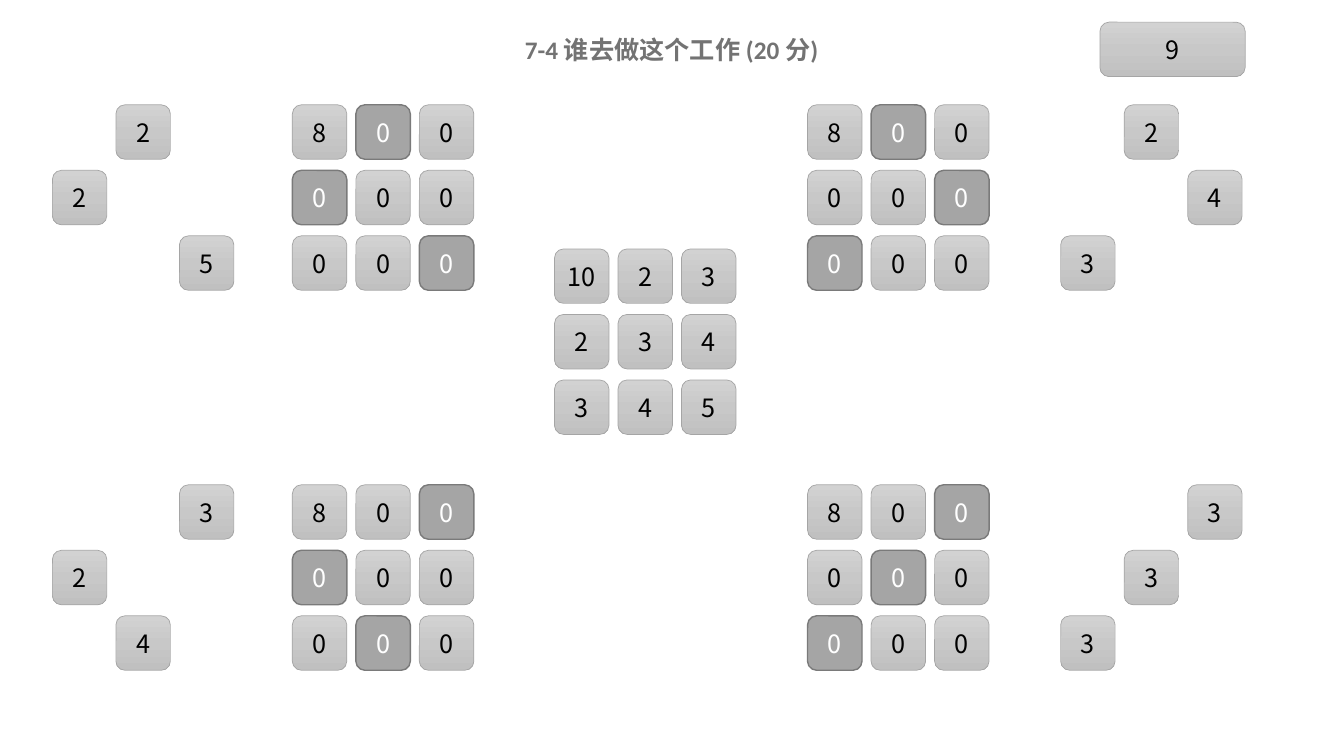
import copy

import pptx
import pptx.dml.color
import pptx.enum.shapes
import pptx.enum.text
import pptx.oxml.ns
import pptx.util

PX = 9144
TILE, STEP_X, STEP_Y = 54, 63, 65
BLACK = pptx.dml.color.RGBColor(0x00, 0x00, 0x00)
WHITE = pptx.dml.color.RGBColor(0xFF, 0xFF, 0xFF)
TITLE_GRAY = pptx.dml.color.RGBColor(0x73, 0x73, 0x73)
MID_GRAY = pptx.dml.color.RGBColor(0xA5, 0xA5, 0xA5)
EDGE_GRAY = pptx.dml.color.RGBColor(0x7A, 0x7A, 0x7A)
GRADIENT = (
    (0, pptx.dml.color.RGBColor(0xD2, 0xD2, 0xD2)),
    (0.5, pptx.dml.color.RGBColor(0xC8, 0xC8, 0xC8)),
    (1, pptx.dml.color.RGBColor(0xC0, 0xC0, 0xC0)),
)
CJK_FONT = "Noto Sans CJK SC"
COSTS = ((10, 2, 3), (2, 3, 4), (3, 4, 5))
REDUCED = ((8, 0, 0), (0, 0, 0), (0, 0, 0))
ASSIGNMENTS = (
    (290, 52, 104, (1, 0, 2)),
    (801, 1052, 104, (1, 2, 0)),
    (290, 52, 481, (2, 0, 1)),
    (801, 1052, 481, (2, 1, 0)),
)


def write_text(box, text, font=CJK_FONT, size=18, color=BLACK, bold=False):
    """Put one centred, formatted line of text in the middle of a box."""
    frame = box.text_frame
    frame.vertical_anchor = pptx.enum.text.MSO_ANCHOR.MIDDLE
    frame.word_wrap = True
    para = frame.paragraphs[0]
    para.alignment = pptx.enum.text.PP_ALIGN.CENTER
    span = para.add_run()
    span.text = text
    span.font.name = font
    span.font.size = pptx.util.Pt(size)
    span.font.color.rgb = color
    span.font.bold = bold
    east_asian = span.font._element.makeelement(
        pptx.oxml.ns.qn("a:ea"), {"typeface": CJK_FONT})
    span.font._element.append(east_asian)


def fill_gradient(box):
    """Give a box the three-stop gray gradient, light at the top."""
    box.fill.gradient()
    box.fill.gradient_angle = 270
    stop_list = box._element.spPr.find(".//" + pptx.oxml.ns.qn("a:gsLst"))
    stop_list.append(copy.deepcopy(stop_list[-1]))
    for stop, (position, color) in zip(box.fill.gradient_stops, GRADIENT):
        stop.position = position
        stop.color.rgb = color


def add_tile(page, left, top, value, width=TILE, chosen=False):
    """Add a rounded number tile, darker when it is chosen."""
    box = page.shapes.add_shape(
        pptx.enum.shapes.MSO_SHAPE.ROUNDED_RECTANGLE,
        left * PX, top * PX, width * PX, TILE * PX)
    box.shadow.inherit = False
    if chosen:
        box.fill.solid()
        box.fill.fore_color.rgb = MID_GRAY
    else:
        fill_gradient(box)
    box.line.color.rgb = EDGE_GRAY if chosen else MID_GRAY
    box.line.width = pptx.util.Pt(1 if chosen else 0.5)
    write_text(box, str(value), color=WHITE if chosen else BLACK)


def add_matrix(page, left, top, values, chosen_columns=(None, None, None)):
    """Add a full grid of tiles, marking one chosen column per row."""
    for row, (numbers, chosen) in enumerate(zip(values, chosen_columns)):
        for column, value in enumerate(numbers):
            add_tile(page, left + column * STEP_X, top + row * STEP_Y, value,
                     chosen=column == chosen)


def add_picks(page, left, top, columns):
    """Add only the cost tiles that an assignment picks."""
    for row, column in enumerate(columns):
        add_tile(page, left + column * STEP_X, top + row * STEP_Y,
                 COSTS[row][column])


def add_title(page, left, top, width, height):
    """Place and format the slide title."""
    title = page.shapes.title
    title.left, title.top = left * PX, top * PX
    title.width, title.height = width * PX, height * PX
    write_text(title, "7-4 谁去做这个工作 (20 分)", font="Calibri",
               color=TITLE_GRAY, bold=True)


def build_assignment_page(deck):
    """Build the job assignment slide."""
    page = deck.slides.add_slide(deck.slide_layouts[5])
    add_title(page, 442, 29, 448, 40)
    add_matrix(page, 550, 247, COSTS)
    for matrix_left, picks_left, top, columns in ASSIGNMENTS:
        add_matrix(page, matrix_left, top, REDUCED, columns)
        add_picks(page, picks_left, top, columns)
    add_tile(page, 1091, 22, 9, width=144)


def main():
    """Create and save the deck."""
    deck = pptx.Presentation()
    deck.slide_width, deck.slide_height = 1333 * PX, 750 * PX
    build_assignment_page(deck)
    deck.save("out.pptx")


if __name__ == "__main__":
    main()
